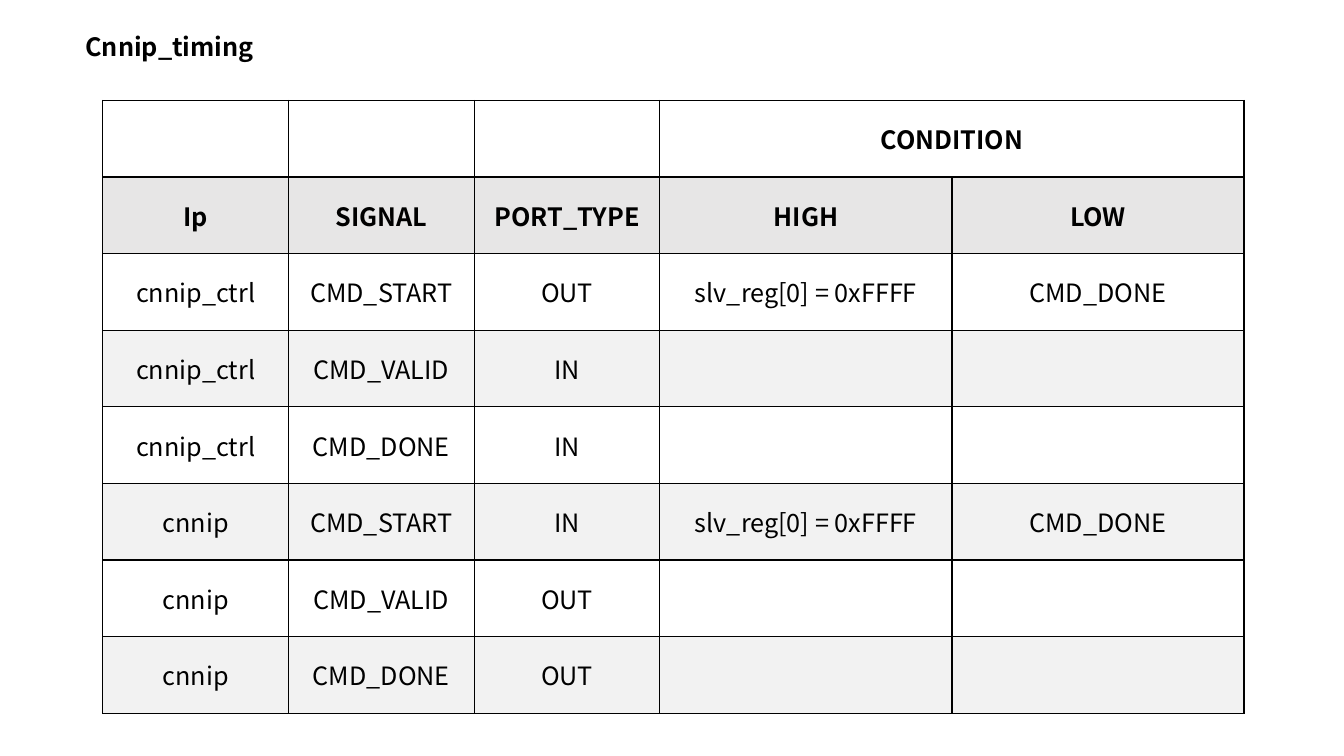
from dataclasses import dataclass

import pptx
import pptx.dml.color
import pptx.enum.text
import pptx.oxml
import pptx.oxml.ns
import pptx.util
from pptx.util import Cm


@dataclass(frozen=True)
class Theme:
    font: str = "Noto Sans CJK KR"
    size: int = 18
    ink: str = "000000"
    paper: str = "FFFFFF"
    heading: str = "E7E6E6"
    band: str = "F2F2F2"
    border_width: int = 1


class SlideBuilder:
    def __init__(self, slide, theme):
        self.slide = slide
        self.theme = theme

    def set_text(self, text_frame, text, bold=False):
        text_frame.text = text
        paragraph = text_frame.paragraphs[0]
        paragraph.alignment = pptx.enum.text.PP_ALIGN.CENTER
        for run in paragraph.runs:
            run.font.name = self.theme.font
            run.font.size = pptx.util.Pt(self.theme.size)
            run.font.bold = bold
            run.font.color.rgb = pptx.dml.color.RGBColor.from_string(self.theme.ink)

    def title(self, text, left, top, width, height):
        frame = self.slide.shapes.add_textbox(left, top, width, height).text_frame
        frame.word_wrap = True
        self.set_text(frame, text, bold=True)

    def border(self, cell):
        properties = cell._tc.get_or_add_tcPr()
        width = pptx.util.Pt(self.theme.border_width)
        for position, side in enumerate(("lnL", "lnR", "lnT", "lnB")):
            line = pptx.oxml.parse_xml(
                f'<a:{side} {pptx.oxml.ns.nsdecls("a")} w="{width}"><a:solidFill>'
                f'<a:srgbClr val="{self.theme.ink}"/></a:solidFill></a:{side}>')
            properties.insert(position, line)

    def row_fill(self, row):
        if row == 1:
            return self.theme.heading
        return self.theme.band if row % 2 else self.theme.paper

    def table(self, rows, left, top, column_widths, row_height, header_rows):
        table = self.slide.shapes.add_table(
            len(rows), len(column_widths), left, top,
            sum(column_widths), row_height * len(rows)).table
        for column, width in zip(table.columns, column_widths):
            column.width = width
        for r, texts in enumerate(rows):
            table.rows[r].height = row_height
            for c, text in enumerate(texts):
                cell = table.cell(r, c)
                cell.vertical_anchor = pptx.enum.text.MSO_ANCHOR.MIDDLE
                cell.fill.solid()
                cell.fill.fore_color.rgb = pptx.dml.color.RGBColor.from_string(
                    self.row_fill(r))
                self.border(cell)
                self.set_text(cell.text_frame, text, bold=r < header_rows)
        return table


presentation = pptx.Presentation()
presentation.slide_width = Cm(33.87)
presentation.slide_height = Cm(19.05)
builder = SlideBuilder(
    presentation.slides.add_slide(presentation.slide_layouts[6]), Theme())

# Title
builder.title("Cnnip_timing", Cm(1.24), Cm(0.66), Cm(6.07), Cm(1.02))

# Signal table: the controller and the core see the same signals
start_conditions = ("slv_reg[0] = 0xFFFF", "CMD_DONE")
no_conditions = ("", "")
signal_rows = [
    ("", "", "", "CONDITION", ""),
    ("Ip", "SIGNAL", "PORT_TYPE", "HIGH", "LOW"),
]
for ip, start_port, reply_port in (("cnnip_ctrl", "OUT", "IN"),
                                   ("cnnip", "IN", "OUT")):
    signal_rows += [
        (ip, "CMD_START", start_port, *start_conditions),
        (ip, "CMD_VALID", reply_port, *no_conditions),
        (ip, "CMD_DONE", reply_port, *no_conditions),
    ]
signals = builder.table(
    signal_rows, Cm(2.59), Cm(2.53),
    column_widths=[Cm(4.68)] * 3 + [Cm(7.36)] * 2,
    row_height=Cm(1.93), header_rows=2)

# Shared heading over HIGH and LOW
signals.cell(0, 3).merge(signals.cell(0, 4))

presentation.save("out.pptx")
